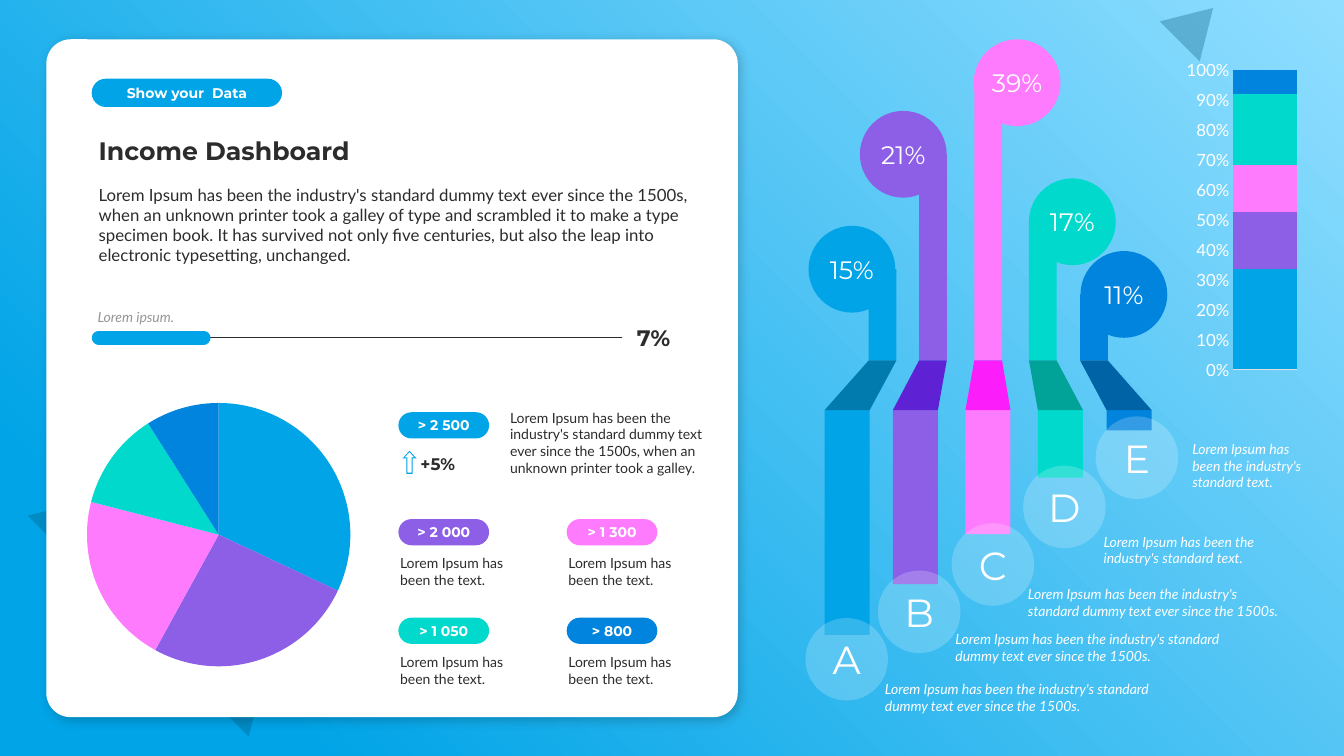
from dataclasses import dataclass

from pptx import Presentation
from pptx import util as u
from pptx.chart import data as cd
from pptx.dml.color import RGBColor
from pptx.enum import chart as ch, shapes, text
from pptx.oxml import parse_xml
from pptx.oxml.ns import nsdecls

Pt = u.Pt
KIND = shapes.MSO_SHAPE
ALIGN = text.PP_ALIGN
MID = text.MSO_ANCHOR.MIDDLE
LOW = text.MSO_ANCHOR.BOTTOM
TOP = text.MSO_ANCHOR.TOP
LATO, MONT = "Lato", "Montserrat"
WHITE, INK, GREY = "FFFFFF", "2C2C2C", "969696"
BLUE, PLUM, PINK, TEAL, NAVY = HUES = ["01A4E7", "8D5FE6", "FD7BFC", "01D9CC", "0084DE"]
FOLD_TOP, FOLD_END = 257.5, 293
BALL, DISC = 62, 59
STEM_W, FOOT_W = 19.8, 32.2
LOREM = "Lorem Ipsum has been the industry's standard"


@dataclass
class Style:
    size: float
    font: str = LATO
    hue: str = INK
    bold: bool = False
    slant: bool = False


@dataclass
class Pillar:
    letter: str
    share: str
    hue: str
    dark: str
    stem: float
    foot: float
    foot_end: float
    ball: tuple[float, float]
    disc: tuple[float, float]
    note: tuple[float, float, float, float]
    words: str


@dataclass
class Card:
    label: str
    hue: str
    x: float
    y: float


LONG = LOREM + " dummy text ever since the 1500s."
SHORT = LOREM + " text."
PILLARS = [
    Pillar("A", "15%", BLUE, "017BAD", 620.5, 589, 453.6, (577.5, 161.3),
           (575.3, 441.4), (625, 482.4, 219.6, 31.7), LONG),
    Pillar("B", "21%", PLUM, "5E21D3", 656.5, 637.8, 417.2, (614.2, 79.2),
           (627.1, 407.5), (675.4, 447.1, 219.6, 31.7), LONG),
    Pillar("C", "39%", PINK, "FC1EFA", 696, 689.6, 381.6, (695.5, 28.1),
           (679.7, 373.7), (727.2, 414.7, 195.1, 31.7), LONG),
    Pillar("D", "17%", TEAL, "01A399", 735, 741.4, 341.3, (735, 127.4),
           (730.8, 332.6), (781.2, 377.3, 140.4, 31.7), SHORT),
    Pillar("E", "11%", NAVY, "0063A6", 771.5, 790.4, 307.4, (771.8, 179.3),
           (782.6, 297.4), (844.6, 311, 103, 44), SHORT),
]
LEFT, RIGHT = 284.6, 404.8
CARDS = [
    Card("> 2 000", PLUM, LEFT, 370.8),
    Card("> 1 300", PINK, RIGHT, 370.8),
    Card("> 1 050", TEAL, LEFT, 441.2),
    Card("> 800", NAVY, RIGHT, 441.2),
]

deck = Presentation()
deck.slide_width, deck.slide_height = Pt(960), Pt(540)
slide = deck.slides.add_slide(deck.slide_layouts[6])
tree = slide.shapes


def rgb(hue: str) -> RGBColor:
    return RGBColor.from_string(hue)


def write(shape, words: str, style: Style, align=ALIGN.LEFT, anchor=TOP, side: float = 7.2) -> None:
    frame = shape.text_frame
    frame.text = words
    frame.word_wrap = True
    frame.vertical_anchor = anchor
    frame.margin_left = frame.margin_right = Pt(side)
    frame.margin_top = frame.margin_bottom = Pt(3.6)
    line = frame.paragraphs[0]
    line.alignment = align
    font = line.runs[0].font
    font.size, font.name = Pt(style.size), style.font
    font.bold, font.italic = style.bold, style.slant
    font.color.rgb = rgb(style.hue)


def label(x: float, y: float, w: float, h: float, words: str, style: Style,
          anchor=TOP, side: float = 7.2) -> None:
    box = tree.add_textbox(Pt(x), Pt(y), Pt(w), Pt(h))
    write(box, words, style, anchor=anchor, side=side)


def paint(shape, hue: str, alpha: int = 100) -> None:
    shape.shadow.inherit = False
    shape.line.fill.background()
    shape.fill.solid()
    shape.fill.fore_color.rgb = rgb(hue)
    if alpha < 100:
        tint = shape.fill._xPr.find(".//{*}srgbClr")
        tint.append(parse_xml(f'<a:alpha {nsdecls("a")} val="{alpha * 1000}"/>'))


def form(kind, x: float, y: float, w: float, h: float, hue: str, alpha: int = 100):
    shape = tree.add_shape(kind, Pt(x), Pt(y), Pt(w), Pt(h))
    paint(shape, hue, alpha)
    return shape


def trace(loops: list[list[tuple[float, float]]], hue: str) -> None:
    """Draw closed outlines as one shape; an inner loop cuts a hole."""
    paths = [[(Pt(x), Pt(y)) for x, y in loop] for loop in loops]
    pen = tree.build_freeform(*paths[0][0])
    pen.add_line_segments(paths[0][1:])
    for path in paths[1:]:
        pen.move_to(*path[0])
        pen.add_line_segments(path[1:])
    paint(pen.convert_to_shape(), hue)


def pill(x: float, y: float, w: float, h: float, words: str, hue: str) -> None:
    shape = form(KIND.ROUNDED_RECTANGLE, x, y, w, h, hue)
    shape.adjustments[0] = 0.5
    write(shape, words, Style(10, MONT, WHITE, bold=True), ALIGN.CENTER, MID, 0)


def rule(start: float, end: float, y: float, hue: str, width: float) -> None:
    line = tree.add_connector(shapes.MSO_CONNECTOR.STRAIGHT, Pt(start), Pt(y), Pt(end), Pt(y))
    line.line.color.rgb = rgb(hue)
    line.line.width = Pt(width)
    line.line._get_or_add_ln().set("cap", "rnd")
    line._element.spPr.append(parse_xml(f'<a:effectLst {nsdecls("a")}/>'))


def graph(kind, x: float, y: float, w: float, h: float, rows: list, cats: list, style: Style):
    table = cd.CategoryChartData()
    table.categories = cats
    for name, vals in rows:
        table.add_series(name, vals)
    chart = tree.add_chart(kind, Pt(x), Pt(y), Pt(w), Pt(h), table).chart
    chart.has_title = chart.has_legend = False
    chart.font.size, chart.font.name = Pt(style.size), style.font
    chart.font.color.rgb = rgb(style.hue)
    return chart


def tone(part, hue: str) -> None:
    part.format.fill.solid()
    part.format.fill.fore_color.rgb = rgb(hue)
    part.format.line.fill.background()


def backdrop() -> None:
    base = form(KIND.RECTANGLE, 0, 0, 960, 540, BLUE)
    solid = base._element.spPr.find("{*}solidFill")
    solid.getparent().replace(solid, parse_xml(
        f'<a:gradFill {nsdecls("a")}><a:gsLst>'
        '<a:gs pos="0"><a:srgbClr val="90DEFF"/></a:gs>'
        f'<a:gs pos="85000"><a:srgbClr val="{BLUE}"/></a:gs></a:gsLst>'
        '<a:path path="circle"><a:fillToRect l="100000" b="100000"/></a:path></a:gradFill>'))
    for x, y, w, h in [(52.6, 289.4, 223.2, 185), (834.5, 0.7, 40.3, 33.8)]:
        form(KIND.ISOSCELES_TRIANGLE, x, y, w, h, "005274", 30).rotation = 45
    panel = form(KIND.ROUNDED_RECTANGLE, 33.1, 28.1, 493.9, 484.2, WHITE)
    panel.adjustments[0] = 0.036
    panel._element.spPr.find("{*}effectLst").append(parse_xml(
        f'<a:outerShdw {nsdecls("a")} blurRad="{Pt(8)}" dist="{Pt(3)}" dir="2700000" algn="tl" '
        'rotWithShape="0"><a:srgbClr val="000000"><a:alpha val="20000"/></a:srgbClr></a:outerShdw>'))


def report() -> None:
    label(63.4, 128.2, 443.5, 65.5, LONG[:-1] + ", when an unknown printer took a galley of type and "
          "scrambled it to make a type specimen book. It has survived not only five centuries, "
          "but also the leap into electronic typesetting, unchanged.", Style(12))
    label(63.4, 92.9, 443.5, 28.8, "Income Dashboard", Style(18, MONT, bold=True), LOW)
    pill(65.5, 56.2, 136, 20.2, "Show your  Data", BLUE)
    rule(66.2, 444.2, 241.2, INK, 0.5)
    rule(70.6, 145.4, 241.2, BLUE, 10)
    label(447.8, 227.5, 68.4, 26.6, "7%", Style(16, MONT, bold=True), MID)
    label(62.6, 216.7, 138.2, 19.4, "Lorem ipsum.", Style(10, hue=GREY, slant=True), LOW)
    pie = graph(ch.XL_CHART_TYPE.PIE, 43.2, 277.9, 226, 208,
                [("Series 1", [32, 26, 21, 12, 9])], list("12345"), Style(10))
    pie.plots[0].vary_by_categories = False
    for spot, hue in enumerate(HUES):
        tone(pie.plots[0].series[0].points[spot], hue)


def figures() -> None:
    pill(LEFT, 294.5, 64.8, 18.7, "> 2 500", BLUE)
    label(300.4, 320.4, 91.4, 21.6, "+5%", Style(12, MONT, bold=True), side=0)
    trace([[(292.5, 322), (297.5, 327.5), (294.8, 327.5), (294.8, 338.4),
            (290.2, 338.4), (290.2, 327.5), (287.5, 327.5)],
           [(292.5, 322.9), (289, 326.8), (291, 326.8), (291, 337.6),
            (294, 337.6), (294, 326.8), (296, 326.8)]], BLUE)
    label(364.4, 288.7, 151.2, 55.4, LONG[:-1] + ", when an unknown printer took a galley.",
          Style(10), side=0)
    for card in CARDS:
        pill(card.x, card.y, 64.8, 18.7, card.label, card.hue)
        label(card.x + 1.2, card.y + 22, 94.3, 31.7, "Lorem Ipsum has been the text.", Style(10), side=0)


def pillars() -> None:
    for p in PILLARS:
        crown = p.ball[1] + BALL / 2
        form(KIND.RECTANGLE, p.stem, crown, STEM_W, FOLD_TOP - crown, p.hue)
        form(KIND.RECTANGLE, p.foot, FOLD_END, FOOT_W, p.foot_end - FOLD_END, p.hue)
        trace([[(p.stem, FOLD_TOP), (p.stem + STEM_W, FOLD_TOP),
                (p.foot + FOOT_W, FOLD_END), (p.foot, FOLD_END)]], p.dark)
    for p in reversed(PILLARS):
        ball = form(KIND.OVAL, *p.ball, BALL, BALL, p.hue)
        write(ball, p.share, Style(18, MONT, WHITE), ALIGN.CENTER, MID, 0)
    for p in PILLARS:
        disc = form(KIND.OVAL, *p.disc, DISC, DISC, WHITE, 20)
        write(disc, p.letter, Style(28, MONT, WHITE), ALIGN.CENTER, MID)
        label(*p.note, p.words, Style(10, hue=WHITE, slant=True))


def stack() -> None:
    rows = [(f"Series {n}", [val]) for n, val in enumerate([34, 19, 16, 24, 8], 1)]
    chart = graph(ch.XL_CHART_TYPE.COLUMN_STACKED_100, 846, 38.2, 82, 237.6,
                  rows, ["1"], Style(12, hue=WHITE))
    plot = chart.plots[0]
    plot.gap_width, plot.overlap = 0, 100
    plot.vary_by_categories = False
    for part, hue in zip(plot.series, HUES):
        tone(part, hue)
    chart.category_axis.visible = False
    axis = chart.value_axis
    axis.major_tick_mark = axis.minor_tick_mark = ch.XL_TICK_MARK.NONE
    axis.format.line.fill.background()
    axis.tick_labels.number_format = "0%"
    axis.tick_labels.number_format_is_linked = False
    grid = axis.major_gridlines.format.line
    grid.color.rgb, grid.width = rgb("DFDFDF"), Pt(0.75)


backdrop()
report()
figures()
pillars()
stack()
deck.save("out.pptx")
